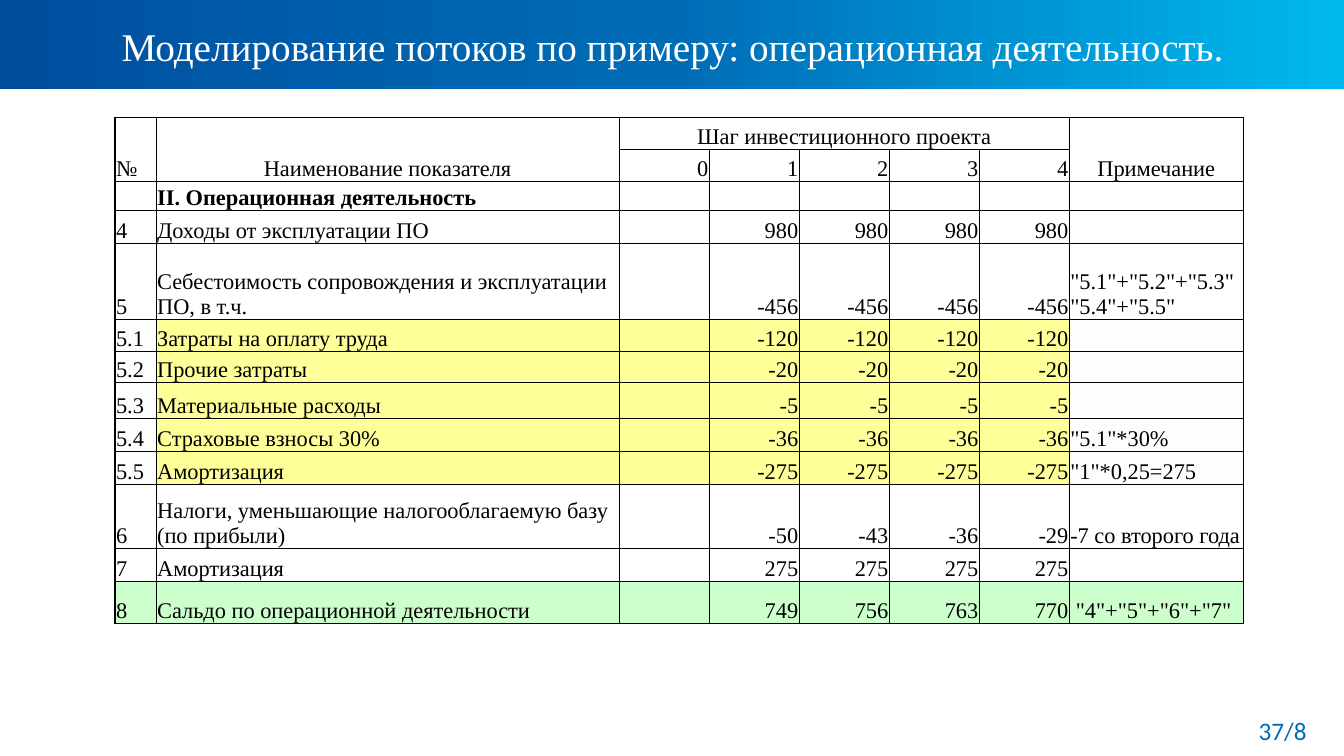
from copy import deepcopy
from dataclasses import dataclass
from typing import Optional

from lxml.etree import SubElement
from pptx import Presentation
from pptx.dml.color import RGBColor
from pptx.enum.shapes import MSO_SHAPE
from pptx.enum.text import MSO_ANCHOR, PP_ALIGN
from pptx.oxml.ns import qn
from pptx.table import Table, _Cell
from pptx.util import Inches, Pt

BLACK = RGBColor(0x00, 0x00, 0x00)
WHITE = RGBColor(0xFF, 0xFF, 0xFF)
NAVY = RGBColor(0x00, 0x4F, 0x9F)
BLUE = RGBColor(0x00, 0x6C, 0xB6)
SKY = RGBColor(0x00, 0xB8, 0xEE)
YELLOW = RGBColor(0xFF, 0xFF, 0x99)
GREEN = RGBColor(0xCC, 0xFF, 0xCC)
PALE = RGBColor(0xFD, 0xFD, 0xFD)

SLIDE_WIDTH, SLIDE_HEIGHT = Inches(13.33), Inches(7.5)
SERIF = "Times New Roman"
TABLE_SIZE = Pt(16)
THICK, THIN = Pt(1), Pt(0.5)

STEPS = range(2, 7)
NOTE = 7
COLUMN_SHARES = [3.06, 34.45] + [6.7] * len(STEPS) + [12.95]


@dataclass(frozen=True)
class FlowRow:
    height: float
    number: str = ""
    label: str = ""
    values: tuple[str, ...] = ("",) * 5
    note: str = ""
    fill: Optional[RGBColor] = None
    side_fill: Optional[RGBColor] = None
    bold: bool = False

    def texts(self) -> list[str]:
        return [self.number, self.label, *self.values, self.note]


def steady(value: str) -> tuple[str, ...]:
    return ("",) + (value,) * 4


def cost(height: float, number: str, label: str, value: str, note: str = "") -> FlowRow:
    return FlowRow(height, number, label, steady(value), note, YELLOW, PALE)


ROWS = [
    FlowRow(4.23, "№", "Наименование показателя",
            ("Шаг инвестиционного проекта", "", "", "", ""), "Примечание"),
    FlowRow(4.23, values=("0", "1", "2", "3", "4")),
    FlowRow(3.84, label="II. Операционная деятельность", bold=True),
    FlowRow(4.37, "4", "Доходы от эксплуатации ПО", steady("980")),
    FlowRow(8.47, "5", "Себестоимость сопровождения и эксплуатации ПО, в т.ч.",
            steady("-456"), ' "5.1"+"5.2"+"5.3""5.4"+"5.5"'),
    cost(4.23, "5.1", "Затраты на оплату труда", "-120"),
    cost(4.13, "5.2", "Прочие затраты", "-20"),
    cost(4.76, "5.3", "Материальные расходы", "-5"),
    cost(4.37, "5.4", "Страховые взносы 30%", "-36", '"5.1"*30%'),
    cost(4.37, "5.5", "Амортизация", "-275", '"1"*0,25=275'),
    FlowRow(8.47, "6", "Налоги, уменьшающие налогооблагаемую базу (по прибыли)",
            ("", "-50", "-43", "-36", "-29"), "-7 со второго года"),
    FlowRow(4.37, "7", "Амортизация", steady("275")),
    FlowRow(5.6, "8", "Сальдо по операционной деятельности",
            ("", "749", "756", "763", "770"), ' "4"+"5"+"6"+"7"', GREEN, GREEN),
]


def across(percent: float) -> int:
    return round(SLIDE_WIDTH * percent / 100)


def down(percent: float) -> int:
    return round(SLIDE_HEIGHT * percent / 100)


def apply_format(target, values: dict) -> None:
    for name, value in values.items():
        setattr(target, name, value)


def write(paragraph, text: str, alignment, font: dict, color: RGBColor) -> None:
    paragraph.alignment = alignment
    run = paragraph.add_run()
    run.text = text
    apply_format(run.font, font)
    run.font.color.rgb = color


def level_width(level: int, column: int) -> int:
    inner = 0 < column < NOTE
    return THIN if level in (1, 6, 7, 8, 9) or (level == 5 and inner) else THICK


def draw_borders(cell: _Cell, row: int, column: int) -> None:
    bottom = row + (cell.span_height if cell.is_merge_origin else 1)
    right = column + (cell.span_width if cell.is_merge_origin else 1)
    widths = {
        "a:lnL": THICK if column == 0 else THIN,
        "a:lnR": THICK if right > NOTE else THIN,
        "a:lnT": level_width(row, column),
        "a:lnB": level_width(bottom, column),
    }
    properties = cell._tc.get_or_add_tcPr()
    for tag, width in widths.items():
        line = SubElement(properties, qn(tag), w=str(int(width)))
        solid = SubElement(line, qn("a:solidFill"))
        SubElement(solid, qn("a:srgbClr"), val=str(BLACK))


def fill_cell(cell: _Cell, content: FlowRow, row: int, column: int) -> None:
    apply_format(cell, {
        "margin_left": Inches(0.01), "margin_right": Inches(0.01),
        "margin_top": Inches(0.01), "margin_bottom": 0,
        "vertical_anchor": MSO_ANCHOR.BOTTOM,
    })
    draw_borders(cell, row, column)
    color = content.side_fill if column in (0, NOTE) else content.fill
    if color is None:
        cell.fill.background()
    else:
        cell.fill.solid()
        cell.fill.fore_color.rgb = color

    text = content.texts()[column]
    paragraph = cell.text_frame.paragraphs[0]
    if not text:
        SubElement(paragraph._p, qn("a:endParaRPr"), sz=str(int(TABLE_SIZE.pt * 100)))
        return
    if row == 0 and column > 0:
        alignment = PP_ALIGN.CENTER
    else:
        alignment = PP_ALIGN.RIGHT if column in STEPS else PP_ALIGN.LEFT
    font = {"name": SERIF, "size": TABLE_SIZE, "bold": content.bold}
    write(paragraph, text, alignment, font, BLACK)


def merge_header(table: Table) -> None:
    for column in (0, 1, NOTE):
        table.cell(0, column).merge(table.cell(1, column))
    table.cell(0, STEPS[0]).merge(table.cell(0, STEPS[-1]))


def add_flow_table(slide) -> None:
    height = sum(row.height for row in ROWS)
    table = slide.shapes.add_table(
        len(ROWS), len(COLUMN_SHARES), across(8.56), down(15.56),
        across(sum(COLUMN_SHARES)), down(height)).table
    apply_format(table, {"first_row": False, "horz_banding": False})
    for column, share in zip(table.columns, COLUMN_SHARES):
        column.width = across(share)
    merge_header(table)
    for index, content in enumerate(ROWS):
        table.rows[index].height = down(content.height)
        for column in range(len(COLUMN_SHARES)):
            fill_cell(table.cell(index, column), content, index, column)


def add_banner_and_title(slide) -> None:
    banner = slide.shapes.add_shape(
        MSO_SHAPE.RECTANGLE, 0, 0, SLIDE_WIDTH, down(11.75))
    banner.shadow.inherit = False
    banner.line.fill.background()
    banner.fill.gradient()
    banner.fill.gradient_angle = 0
    stops = banner.element.find(".//" + qn("a:gsLst"))
    stops.insert(1, deepcopy(stops[0]))
    for stop, color, position in zip(
            banner.fill.gradient_stops, (NAVY, BLUE, SKY), (0, 0.5, 1)):
        stop.color.rgb = color
        stop.position = position

    title = slide.shapes.title
    title.element.addprevious(banner.element)
    apply_format(title, {"left": across(2.78), "top": down(1.73),
                         "width": across(94.5), "height": down(10.13)})
    apply_format(title.text_frame, {"vertical_anchor": MSO_ANCHOR.TOP,
                                    "margin_top": Inches(0.09), "word_wrap": True})
    write(title.text_frame.paragraphs[0],
          "Моделирование потоков по примеру: операционная деятельность.",
          PP_ALIGN.CENTER, {"name": SERIF, "size": Pt(28)}, WHITE)


def add_page_number(slide) -> None:
    box = slide.shapes.add_textbox(across(91.22), down(94), across(6.75), down(5.33))
    box.text_frame.word_wrap = True
    write(box.text_frame.paragraphs[0], "37/8", PP_ALIGN.RIGHT,
          {"name": "Calibri", "size": Pt(18)}, BLUE)


def main() -> None:
    presentation = Presentation()
    apply_format(presentation, {"slide_width": SLIDE_WIDTH, "slide_height": SLIDE_HEIGHT})
    slide = presentation.slides.add_slide(presentation.slide_layouts.get_by_name("Title Only"))
    add_banner_and_title(slide)
    add_flow_table(slide)
    add_page_number(slide)
    presentation.save("out.pptx")


if __name__ == "__main__":
    main()
